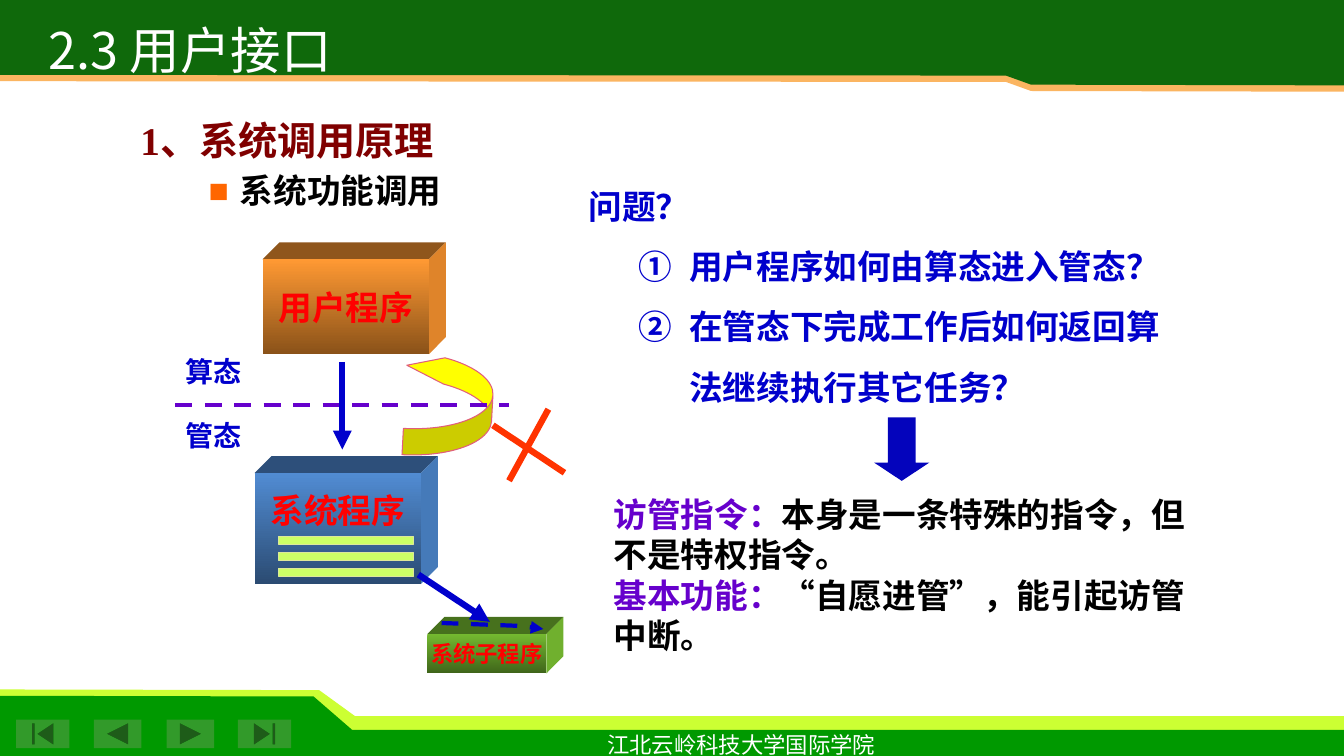
from lxml import etree
from pptx import Presentation
from pptx.dml.color import RGBColor
from pptx.enum.dml import MSO_LINE
from pptx.enum.shapes import MSO_CONNECTOR, MSO_SHAPE
from pptx.enum.text import MSO_ANCHOR, MSO_AUTO_SIZE, PP_ALIGN
from pptx.oxml.ns import qn
from pptx.util import Pt

RECT, DOWN, CURVED = MSO_SHAPE.RECTANGLE, MSO_SHAPE.DOWN_ARROW, MSO_SHAPE.CURVED_UP_ARROW
BEGINNING, PREVIOUS = MSO_SHAPE.ACTION_BUTTON_BEGINNING, MSO_SHAPE.ACTION_BUTTON_BACK_OR_PREVIOUS
NEXT, END = MSO_SHAPE.ACTION_BUTTON_FORWARD_OR_NEXT, MSO_SHAPE.ACTION_BUTTON_END
STRAIGHT, DASH = MSO_CONNECTOR.STRAIGHT, MSO_LINE.DASH
CENTER, LEFT = PP_ALIGN.CENTER, PP_ALIGN.LEFT
MIDDLE, TOP = MSO_ANCHOR.MIDDLE, MSO_ANCHOR.TOP
NO_FIT = MSO_AUTO_SIZE.NONE
SERIF, SANS, CJK = "Times New Roman", "Arial", "Noto Sans CJK SC"

COLORS = {
    "white": "FFFFFF", "black": "000000", "red": "FF0000", "blue": "0000CC",
    "purple": "6600CC", "maroon": "800000", "cross": "FF3300", "bullet": "FF6600",
    "banner": "0F690B", "banner_edge": "FBB561", "footer": "009900",
    "footer_edge": "CCFF33", "button": "329A2A", "stripe": "CCFF66",
    "stripe_edge": "DDE89A", "trap": "FFFF00", "trap_edge": "E15D7C", "answer": "0404BC",
}
# Front top, front bottom, upper face, side face
BLOCKS = {
    "user": ("FF9933", "8A5219", "8F561C", "DF842A"),
    "system": ("518CD3", "2B4B72", "2D4F7A", "457AB9"),
    "routine": ("74B930", "3F651A", "47711D", "70B02E"),
}


def rgb(name):
    return RGBColor.from_string(COLORS.get(name, name))


def paint(shape, fill=None, edge=None, width=0.75):
    shape.shadow.inherit = False
    if fill:
        shape.fill.solid()
        shape.fill.fore_color.rgb = rgb(fill)
    else:
        shape.fill.background()
    if edge:
        shape.line.color.rgb = rgb(edge)
        shape.line.width = Pt(width)
    else:
        shape.line.fill.background()
    return shape


def preset(slide, kind, box, fill, edge=None):
    return paint(slide.shapes.add_shape(kind, *map(Pt, box)), fill, edge)


def outline(slide, points, fill=None, edge=None, width=0.75, close=True):
    corners = [(Pt(x), Pt(y)) for x, y in points]
    builder = slide.shapes.build_freeform(*corners[0], scale=1)
    builder.add_line_segments(corners[1:], close=close)
    return paint(builder.convert_to_shape(), fill, edge, width)


def stroke(line, dash=False, arrow=False):
    if dash:
        line.dash_style = DASH
    if arrow:
        etree.SubElement(line._get_or_add_ln(), qn("a:tailEnd"), type="triangle")


def connect(slide, start, end, color, width, dash=False, arrow=False):
    link = slide.shapes.add_connector(STRAIGHT, *map(Pt, start + end))
    link.line.color.rgb = rgb(color)
    link.line.width = Pt(width)
    stroke(link.line, dash, arrow)
    etree.SubElement(link.element.spPr, qn("a:effectLst"))


def write(frame, paragraphs, size, align=LEFT, font=SERIF, bold=True, wrap=True, anchor=TOP):
    """Each paragraph is a list of (words, colour) runs."""
    frame.word_wrap = wrap
    frame.auto_size = NO_FIT
    frame.vertical_anchor = anchor
    for number, runs in enumerate(paragraphs):
        paragraph = frame.add_paragraph() if number else frame.paragraphs[0]
        paragraph.alignment = align
        for words, color in runs:
            run = paragraph.add_run()
            run.text = words
            run.font.size, run.font.bold, run.font.name = Pt(size), bold, font
            run.font.color.rgb = rgb(color)
            etree.SubElement(run.font._element, qn("a:ea"), typeface=CJK)


def label(slide, box, paragraphs, size, **style):
    frame = slide.shapes.add_textbox(*map(Pt, box)).text_frame
    write(frame, paragraphs, size, **style)
    return frame


def indent(paragraph, margin, hanging):
    properties = paragraph._p.get_or_add_pPr()
    properties.set("marL", str(Pt(margin)))
    properties.set("indent", str(Pt(-hanging)))
    return properties


def settle(placeholder, box):
    """Bring a placeholder to the front of what is drawn so far."""
    placeholder.left, placeholder.top, placeholder.width, placeholder.height = map(Pt, box)
    placeholder.element.getparent().append(placeholder.element)


def banner(slide, box):
    left, top, width, height = box
    right = left + width
    for color, drop in (("banner_edge", 0), ("banner", -4.5)):
        base = top + height - 7.5 + drop
        outline(slide, [(left, top), (left, base), (718.5, base + 0.5), (736.5, base + 7),
                        (right, base + 7.5), (right, top)], color)
    title = slide.shapes.title
    settle(title, (left + 27.6, top + 9, 400, 52))
    write(title.text_frame, [[("2.3 用户接口", "white")]], 36,
          font=CJK, bold=False, anchor=MIDDLE)


def footer(slide, box):
    left, top, width, height = box
    right, bottom = left + width, top + height
    for color, rise, step, bend, low in (("footer_edge", 0, 228, 253.5, 19),
                                         ("footer", 4.5, 224, 251.5, 28.8)):
        outline(slide, [(left, top + rise), (left + step, top + rise + 0.5),
                        (left + bend, top + low), (right, top + low),
                        (right, bottom), (left, bottom)], color)
    for kind, x, wide in ((BEGINNING, 11.5, 38), (PREVIOUS, 67, 34),
                          (NEXT, 119, 34), (END, 170, 38)):
        preset(slide, kind, (left + x, top + 21.6, wide, 20.2), "button")
    label(slide, (left + 425.5, top + 25.9, 208, 26.6), [[("江北云岭科技大学国际学院", "white")]],
          16, align=CENTER, bold=False, wrap=False)


def block(slide, box, theme, name, size, lift=0):
    left, top, width, height = box
    right, bottom, depth = left + width, top + height, 12.2
    light, dark, upper, side = BLOCKS[theme]
    outline(slide, [(left, top), (left + depth, top - depth),
                    (right + depth, top - depth), (right, top)], upper)
    outline(slide, [(right, top), (right + depth, top - depth),
                    (right + depth, bottom - depth), (right, bottom)], side)
    front = preset(slide, RECT, box, light)
    front.fill.gradient()
    front.fill.gradient_angle = 270
    for stop, color in zip(front.fill.gradient_stops, (light, dark)):
        stop.color.rgb = rgb(color)
    write(front.text_frame, [[(name, "red")]], size, align=CENTER, wrap=False, anchor=MIDDLE)
    front.text_frame.margin_bottom = Pt(3.6 + lift)


def headings(slide, box):
    left, top, width, height = box
    body = slide.placeholders[1]
    settle(body, (left + 27.4, top + 38.9, 331.2, 39.6))
    paint(body, "white")
    write(body.text_frame, [[("系统功能调用", "black")]], 24, font=SANS)
    item = body.text_frame.paragraphs[0]
    item.level = 1
    item.space_before = Pt(4.8)
    properties = indent(item, 58.3, 22.3)
    color = etree.SubElement(properties, qn("a:buClr"))
    etree.SubElement(color, qn("a:srgbClr"), val=COLORS["bullet"])
    etree.SubElement(properties, qn("a:buSzPct"), val="100000")
    etree.SubElement(properties, qn("a:buFont"), typeface=SANS)
    etree.SubElement(properties, qn("a:buChar"), char="■")
    label(slide, (left, top, width, height), [[("1、系统调用原理", "maroon")]], 28, align=CENTER)


def call_diagram(slide, box):
    left, top = box[:2]
    block(slide, (left + 180, top + 280.1, 85, 28.1), "routine", "系统子程序", 16)
    block(slide, (left + 56.5, top + 165.2, 118.8, 79.2), "system", "系统程序", 24, lift=27)
    block(slide, (left + 62.2, top + 12.5, 118.8, 67.7), "user", "用户程序", 24)
    # Processor states on either side of the border
    for row, state in enumerate(("算态", "管态")):
        label(slide, (left, top + 77 + row * 45.4, 54.7, 31.7), [[(state, "blue")]],
              20, align=CENTER, wrap=False)
    for row in range(3):
        preset(slide, RECT, (left + 73.7, top + 210.2 + row * 11.5, 96.5, 5.8),
               "stripe", "stripe_edge")
    # Calls going down
    inner_call = outline(slide, [(left + 190.1, top + 272.2), (left + 246.2, top + 274.3),
                                 (left + 262.8, top + 276.5)], None, "blue", 3, close=False)
    stroke(inner_call.line, dash=True, arrow=True)
    connect(slide, (left + 173.5, top + 237.6), (left + 224.6, top + 271.4), "blue", 4.5, arrow=True)
    connect(slide, (left + 119.2, top + 85.7), (left + 119.2, top + 148.3), "blue", 4.5, arrow=True)
    # Return path, state border and cross
    way_back = preset(slide, CURVED, (left + 158.4, top + 85.7, 73.4, 62.6), "trap", "trap_edge")
    way_back.rotation = 273.1
    for index, value in enumerate((0.3, 0.3, 0.43)):
        way_back.adjustments[index] = value
    connect(slide, (left, top + 116.6), (left + 238.3, top + 116.6), "purple", 3, dash=True)
    connect(slide, (left + 226.8, top + 131), (left + 277.9, top + 164.9), "cross", 4.5)
    connect(slide, (left + 266.4, top + 119.5), (left + 238.3, top + 170.6), "cross", 4.5)


def questions(slide, box):
    lines = ("问题？", "用户程序如何由算态进入管态？", "在管态下完成工作后如何返回算法继续执行其它任务？")
    frame = label(slide, box, [[(line, "blue")] for line in lines], 24)
    for number, paragraph in enumerate(frame.paragraphs):
        paragraph.line_spacing = 1.5
        properties = indent(paragraph, 72 if number else 36, 36)
        if number:
            paragraph.level = 1
            etree.SubElement(properties, qn("a:buFont"), typeface=CJK)
            etree.SubElement(properties, qn("a:buAutoNum"), type="circleNumDbPlain")


def answer(slide, box):
    left, top, width, height = box
    label(slide, (left, top + 51.1, width, height - 51.1), [
        [("访管指令：", "purple"), ("本身是一条特殊的指令，但不是特权指令。", "black")],
        [("基本功能：", "purple"), ("“自愿进管”，能引起访管中断。", "black")]], 24)
    pointer = preset(slide, DOWN, (left + 193, top, 39.6, 45.4), "answer")
    pointer.adjustments[1] = 0.33


def main():
    deck = Presentation()
    deck.slide_width, deck.slide_height = Pt(960), Pt(540)
    slide = deck.slides.add_slide(deck.slide_layouts[1])
    footer(slide, (0, 492.5, 960, 47.5))
    banner(slide, (0, 0, 960, 65.5))
    headings(slide, (78.5, 79.2, 253.4, 41))
    call_diagram(slide, (125.3, 172.8, 280, 310))
    questions(slide, (413.3, 114.5, 428.4, 176.4))
    answer(slide, (431.3, 298.1, 428.4, 174.9))
    deck.save("out.pptx")


if __name__ == "__main__":
    main()
